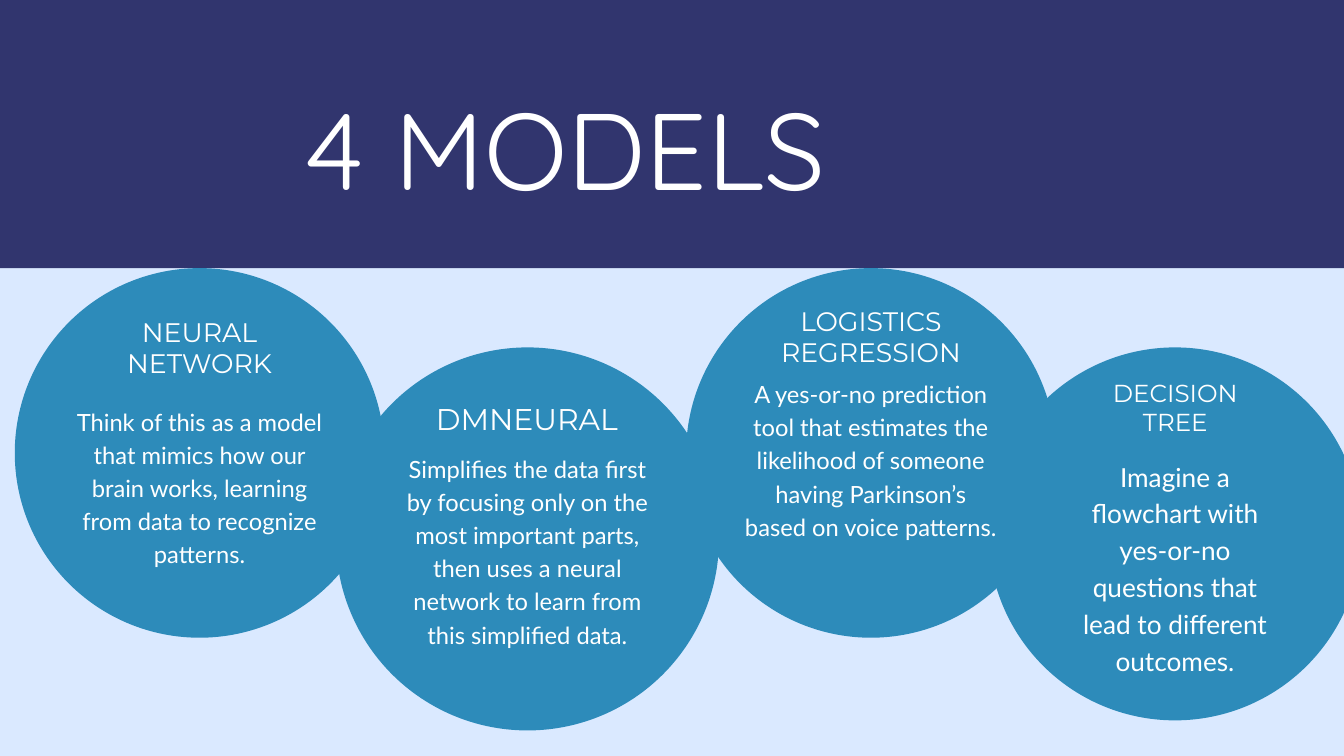
"""Build the slide that introduces four models in overlapping circles."""
from dataclasses import dataclass

from pptx import Presentation
from pptx.dml.color import RGBColor
from pptx.enum import shapes, text
from pptx.util import Inches, Pt

NAVY, BLUE, PALE, WHITE = "31356E", "2D8BBA", "DAE9FF", "FFFFFF"
BANNER_HEIGHT = 3.99


@dataclass(frozen=True)
class Box:
    left: float
    top: float
    width: float
    height: float


@dataclass(frozen=True)
class Label:
    wording: str
    box: Box
    font: str
    size: float
    spacing: float


@dataclass(frozen=True)
class Model:
    circle: Box
    heading: Label
    description: Label


def heading(wording: str, box: Box, size: float, spacing: float) -> Label:
    return Label(wording, box, "Montserrat", size, spacing)


def description(wording: str, box: Box, size: float = 25.4, spacing: float = 35.6) -> Label:
    return Label(wording, box, "Lato", size, spacing)


TITLE = Label("4 MODELS", Box(1.12, 1.6, 14.58, 1.64), "Quicksand", 116.4, 111.7)
MODELS = [
    Model(
        Box(10.21, BANNER_HEIGHT, 5.5, 5.5),
        heading("LOGISTICS REGRESSION", Box(11.57, 4.55, 2.78, 0.92), 28.6, 33.1),
        description(
            "A yes-or-no prediction tool that estimates the likelihood of someone "
            "having Parkinson’s based on voice patterns.",
            Box(11.08, 5.58, 3.76, 3.39),
        ),
    ),
    Model(
        Box(5, 5.17, 5.7, 5.7),
        heading("DMNEURAL", Box(6.28, 5.98, 3.12, 0.51), 32.1, 37.2),
        description(
            "Simplifies the data first by focusing only on the most important parts, "
            "then uses a neural network to learn from this simplified data.",
            Box(5.97, 6.69, 3.76, 3.39),
        ),
    ),
    Model(
        Box(0.22, BANNER_HEIGHT, 5.5, 5.5),
        heading("NEURAL NETWORK", Box(1.57, 4.71, 2.8, 0.92), 28.7, 33.3),
        description(
            "Think of this as a model that mimics how our brain works, "
            "learning from data to recognize patterns.",
            Box(1.09, 5.99, 3.76, 2.42),
        ),
    ),
    Model(
        Box(14.71, 5.17, 5.55, 5.55),
        heading("DECISION TREE", Box(16.21, 5.64, 2.56, 0.84), 26.3, 30.5),
        description(
            "Imagine a flowchart with yes-or-no questions that lead to different outcomes.",
            Box(15.88, 6.78, 3.21, 3.21),
            28.1,
            39.4,
        ),
    ),
]


def paint(target, color: str) -> None:
    target.solid()
    target.fore_color.rgb = RGBColor.from_string(color)


def place(box: Box) -> tuple:
    return Inches(box.left), Inches(box.top), Inches(box.width), Inches(box.height)


def add_filled_shape(slide, kind: shapes.MSO_SHAPE, box: Box, color: str) -> None:
    shape = slide.shapes.add_shape(kind, *place(box))
    shape.shadow.inherit = False
    paint(shape.fill, color)
    shape.line.fill.background()


def add_label(slide, label: Label) -> None:
    frame = slide.shapes.add_textbox(*place(label.box)).text_frame
    frame.margin_left = frame.margin_top = frame.margin_right = frame.margin_bottom = 0
    frame.word_wrap = True
    frame.auto_size = text.MSO_AUTO_SIZE.SHAPE_TO_FIT_TEXT
    frame.text = label.wording
    paragraph = frame.paragraphs[0]
    paragraph.alignment = text.PP_ALIGN.CENTER
    paragraph.line_spacing = Pt(label.spacing)
    font = paragraph.runs[0].font
    font.name = label.font
    font.size = Pt(label.size)
    paint(font.fill, WHITE)


def main() -> None:
    presentation = Presentation()
    presentation.slide_width, presentation.slide_height = Inches(20), Inches(11.25)
    slide = presentation.slides.add_slide(presentation.slide_layouts[6])
    paint(slide.background.fill, PALE)
    add_filled_shape(slide, shapes.MSO_SHAPE.RECTANGLE, Box(0, 0, 20, BANNER_HEIGHT), NAVY)
    add_label(slide, TITLE)
    for model in MODELS:
        add_filled_shape(slide, shapes.MSO_SHAPE.OVAL, model.circle, BLUE)
    for model in MODELS:
        add_label(slide, model.heading)
        add_label(slide, model.description)
    presentation.save("out.pptx")


if __name__ == "__main__":
    main()
